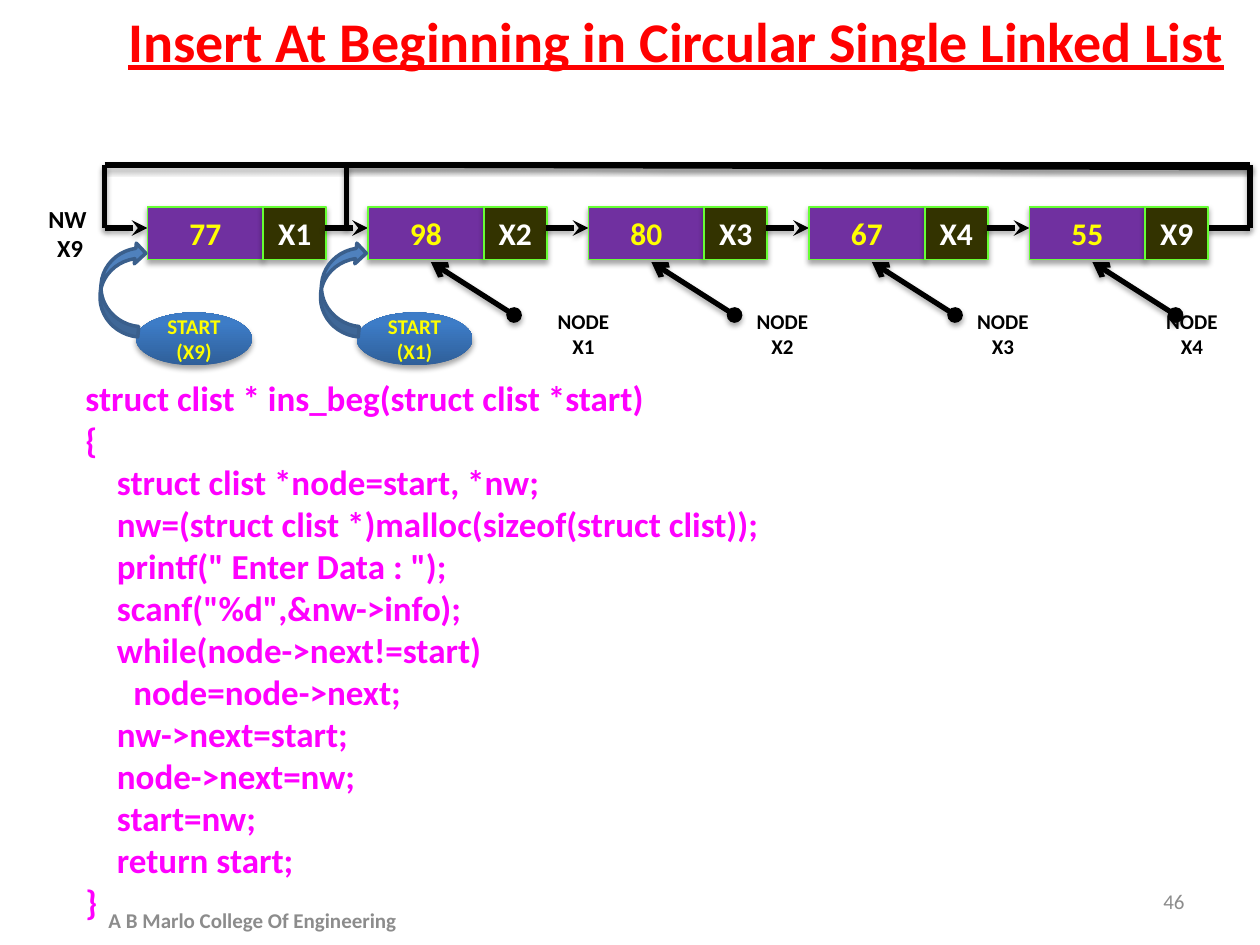
from lxml import etree
from pptx import Presentation
from pptx.dml.color import RGBColor
from pptx.enum.shapes import MSO_CONNECTOR, MSO_SHAPE
from pptx.enum.text import MSO_ANCHOR, PP_ALIGN
from pptx.oxml import parse_xml
from pptx.oxml.ns import qn
from pptx.util import Inches, Pt

RECTANGLE, ELLIPSE = MSO_SHAPE.RECTANGLE, MSO_SHAPE.OVAL
RIGHT_ARROW, CURVED_ARROW = MSO_SHAPE.RIGHT_ARROW, MSO_SHAPE.CURVED_DOWN_ARROW
STRAIGHT = MSO_CONNECTOR.STRAIGHT
LEFT, CENTER, RIGHT = PP_ALIGN.LEFT, PP_ALIGN.CENTER, PP_ALIGN.RIGHT
TOP, MIDDLE = MSO_ANCHOR.TOP, MSO_ANCHOR.MIDDLE

NODES = [("77", "X1"), ("98", "X2"), ("80", "X3"), ("67", "X4"), ("55", "X9")]
PITCH, DATA_WIDTH, LINK_WIDTH, NODE_HEIGHT = 1.75, 0.92, 0.5, 0.42
GAP = 0.34
CODE = [
    (0, "struct clist * ins_beg(struct clist *start)"),
    (0, "{"),
    (0.25, "struct clist *node=start, *nw;"),
    (0.25, "nw=(struct clist *)malloc(sizeof(struct clist));"),
    (0.25, 'printf(" Enter Data : ");'),
    (0.25, 'scanf("%d",&nw->info);'),
    (0.25, "while(node->next!=start)"),
    (0.38, "node=node->next;"),
    (0.25, "nw->next=start;"),
    (0.25, "node->next=nw;"),
    (0.25, "start=nw;"),
    (0.25, "return start;"),
    (0, "}"),
]
SHADOW = (
    '<a:effectLst xmlns:a="http://schemas.openxmlformats.org/drawingml/2006/main">'
    '<a:outerShdw blurRad="40000" dist="23000" dir="5400000" rotWithShape="0">'
    '<a:srgbClr val="000000"><a:alpha val="35000"/></a:srgbClr>'
    "</a:outerShdw></a:effectLst>"
)


def color(value):
    """Turn a hex string into a colour."""
    return RGBColor.from_string(value)


def write(shape, text, size=12, fill="000000", bold=True, underline=None,
          align=CENTER, anchor=MIDDLE, wrap=True, inset=None, indents=()):
    """Put formatted text into a shape, one paragraph per line."""
    frame = shape.text_frame
    frame.word_wrap, frame.vertical_anchor = wrap, anchor
    if inset is not None:
        frame.margin_left = frame.margin_right = Inches(inset)
        frame.margin_top = frame.margin_bottom = Inches(inset)
    for index, line in enumerate(text.split("\n")):
        paragraph = frame.add_paragraph() if index else frame.paragraphs[0]
        paragraph.alignment = align
        if indents:
            paragraph._p.get_or_add_pPr().set("marL", str(Inches(indents[index])))
        run = paragraph.add_run()
        run.text = line
        font = run.font
        font.name, font.size, font.bold, font.underline = "Calibri", Pt(size), bold, underline
        font.color.rgb = color(fill)


def add_text(slide, box, text, **style):
    """Add a text box."""
    write(slide.shapes.add_textbox(*map(Inches, box)), text, **style)


def add_shape(slide, kind, box, fill=None, line=None, width=1, shadow=False):
    """Add a preset shape with its fill, outline and shadow."""
    shape = slide.shapes.add_shape(kind, *map(Inches, box))
    shape.shadow.inherit = False
    if fill:
        shape.fill.solid()
        shape.fill.fore_color.rgb = color(fill)
    else:
        shape.fill.background()
    if line:
        shape.line.color.rgb = color(line)
        shape.line.width = Pt(width)
    else:
        shape.line.fill.background()
    if shadow:
        properties = shape._element.spPr
        properties.replace(properties.find(qn("a:effectLst")), parse_xml(SHADOW))
    return shape


def add_line(slide, start, end, head=None, tail=None):
    """Add a thick black line with optional ends."""
    line = slide.shapes.add_connector(STRAIGHT, *map(Inches, (*start, *end)))
    line.line.color.rgb = color("000000")
    line.line.width = Pt(3)
    outline = line.line._get_or_add_ln()
    for tag, kind in (("a:headEnd", head), ("a:tailEnd", tail)):
        if kind:
            etree.SubElement(outline, qn(tag)).set("type", kind)
    line._element.spPr.append(parse_xml(SHADOW))


def add_node(slide, left, top, data, link):
    """Draw a list node with the arrow that enters it."""
    middle = top + 0.17
    add_line(slide, (left - GAP, middle), (left, middle), tail="stealth")
    cells = ((left, DATA_WIDTH, "7030A0", data, "FFFF00"),
             (left + DATA_WIDTH, LINK_WIDTH, "333300", link, "FFFFFF"))
    for cell_left, width, fill, text, text_color in cells:
        cell = add_shape(slide, RECTANGLE, (cell_left, top, width, NODE_HEIGHT),
                         fill, "66FF33", shadow=True)
        write(cell, text, size=18, fill=text_color)


def add_start(slide, left, top, address):
    """Draw a start pointer below the node at the given corner."""
    bubble = add_shape(slide, ELLIPSE, (left - 0.09, top + 0.84, 0.92, 0.42),
                       "3D7CC7", shadow=True)
    bubble.fill.gradient()
    bubble.fill.gradient_angle = 90
    stops = ((0, "2F5F99"), (0.8, "3D7CC7"))
    for stop, (position, value) in zip(bubble.fill.gradient_stops, stops):
        stop.position = position
        stop.color.rgb = color(value)
    write(bubble, f"START\n({address})", fill="FFFF00", inset=0)
    arrow = add_shape(slide, CURVED_ARROW, (left - 0.58, top + 0.48, 0.75, 0.33),
                      "4F81BD", "3A5F8C", 2)
    arrow.rotation = 275.5


def add_list(slide, left, top):
    """Draw the circular list with its pointers and labels."""
    middle, loop_top, loop_right = top + 0.17, top - 0.33, 9.92
    for loop_left, drop in ((left + PITCH - 0.17, 0.02), (left - GAP, 0)):
        add_line(slide, (loop_left, loop_top), (loop_right, loop_top + drop))
        add_line(slide, (loop_left, loop_top), (loop_left, middle))
    add_line(slide, (loop_right, loop_top), (loop_right, middle))
    add_line(slide, (loop_right - GAP, middle), (loop_right, middle))
    for index, (data, link) in enumerate(NODES):
        add_node(slide, left + index * PITCH, top, data, link)
    add_start(slide, left, top, "X9")
    add_start(slide, left + PITCH, top, "X1")
    new_label = add_shape(slide, RIGHT_ARROW, (0.17, top - 0.08, 0.92, 0.58))
    write(new_label, "NW \nX9", size=14, inset=0)
    for index, label_left in enumerate((4.17, 5.75, 7.5, 9), start=1):
        label = add_shape(slide, ELLIPSE, (label_left, top + 0.75, 0.92, 0.52))
        write(label, f"NODE\nX{index}", inset=0)
        node_left = left + index * PITCH
        add_line(slide, (node_left + 1.16, top + 0.86), (node_left + 0.5, top + 0.44),
                 head="oval", tail="arrow")


def add_code(slide, box):
    """Write the insertion function."""
    indents, lines = zip(*CODE)
    add_text(slide, box, "\n".join(lines), size=20, fill="FF00FF",
             align=LEFT, anchor=TOP, indents=indents)


def add_footer(slide, top):
    """Write the college name and the slide number."""
    add_text(slide, (7.17, top, 2.33, 0.4), "46", fill="8C8C8C", bold=False, align=RIGHT)
    add_text(slide, (0.67, top + 0.15, 2.67, 0.4), "A B Marlo College Of Engineering",
             fill="8C8C8C")


def main():
    """Build and save the slide."""
    presentation = Presentation()
    presentation.slide_width, presentation.slide_height = Inches(10), Inches(7.5)
    slide = presentation.slides.add_slide(presentation.slide_layouts[6])
    add_code(slide, (0.58, 2.94, 6.2, 4.48))
    add_list(slide, 1.17, 1.64)
    add_text(slide, (0.92, 0, 8.97, 0.64),
             "Insert At Beginning in Circular Single Linked List", size=32,
             fill="FF0000", underline=True, align=LEFT, anchor=TOP, wrap=False)
    add_footer(slide, 6.95)
    presentation.save("out.pptx")


main()
